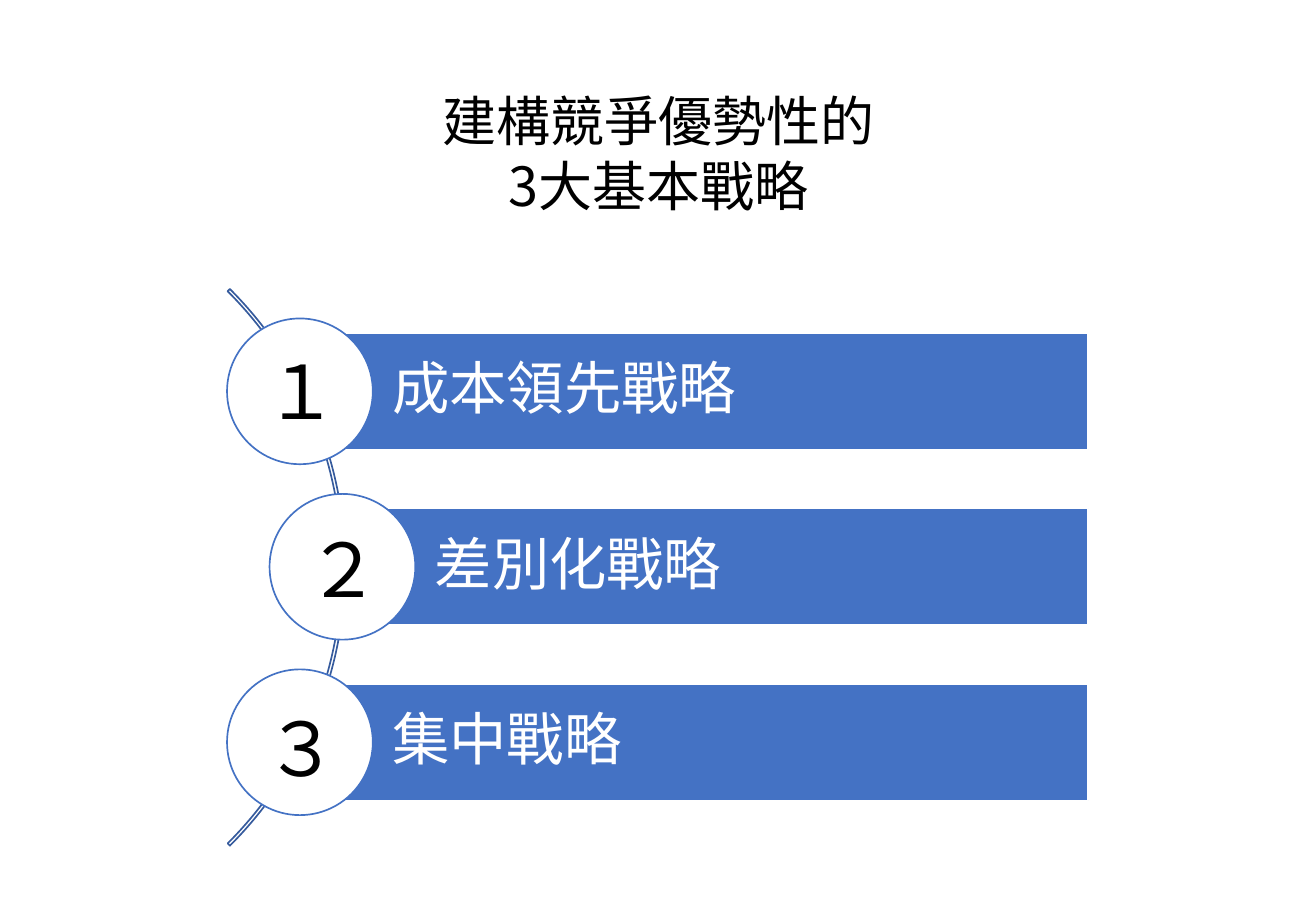
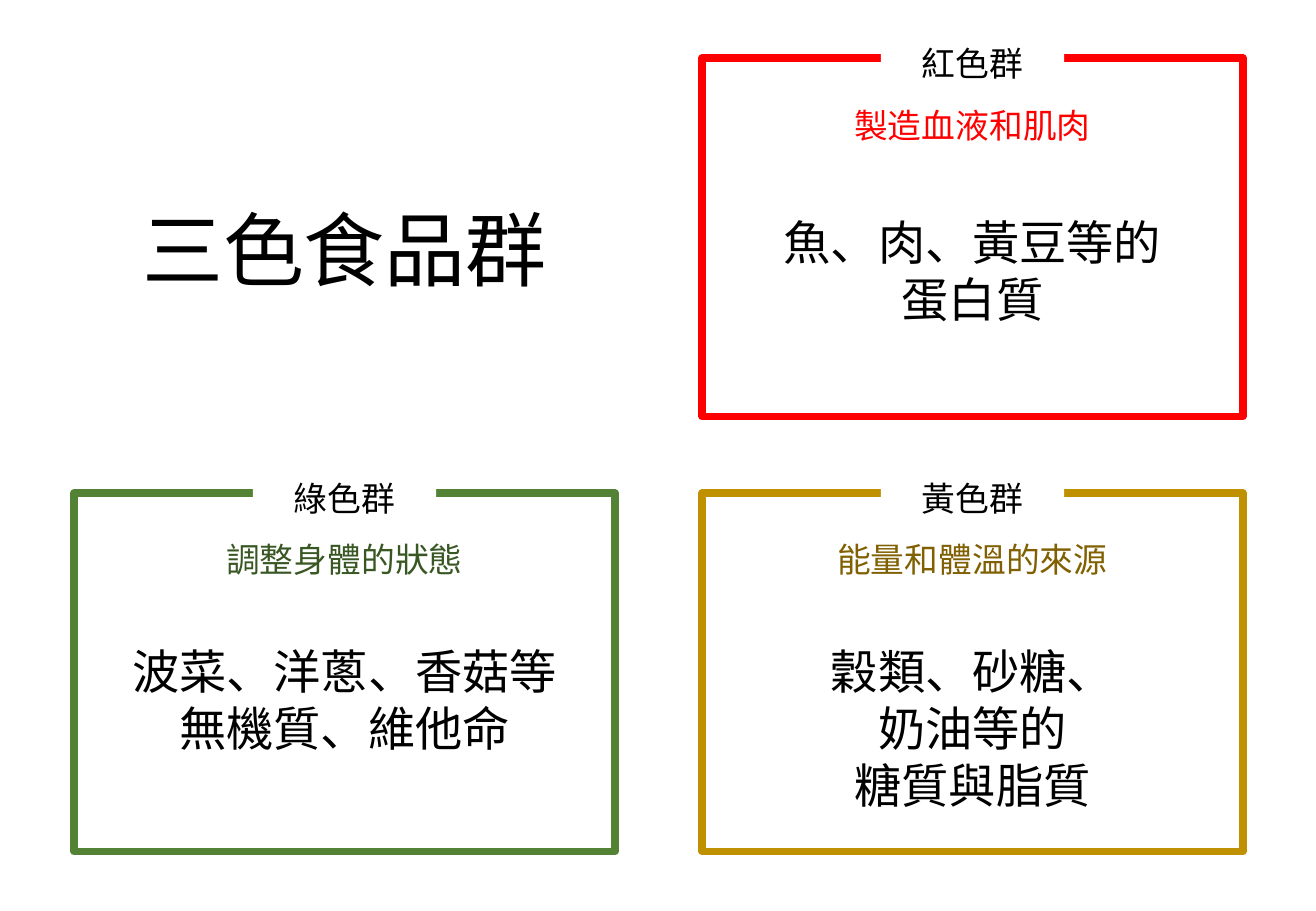
from lxml import etree
from pptx import Presentation
from pptx.dml.color import RGBColor
from pptx.enum import shapes, text
from pptx.oxml.ns import qn
from pptx.util import Pt

FONT = "Noto Sans CJK SC"
COLORS = {
    "ink": "000000", "paper": "FFFFFF", "bar": "4472C4", "arc": "365B9D",
    "red": "FF0000", "green": "548235", "green_text": "385723",
    "yellow": "BF9000", "yellow_text": "806000",
}
CARD_WIDTH, CARD_HEIGHT = 320.4, 212.4
LEFT_COLUMN, RIGHT_COLUMN = 44, 416.2
UPPER_ROW, LOWER_ROW = 34.5, 292.3


def color(name):
    """Return the named colour."""
    return RGBColor.from_string(COLORS[name])


def lengths(*values):
    """Turn numbers into lengths in points."""
    return [Pt(value) for value in values]


def write(shape, words, size, ink="ink", align=text.PP_ALIGN.CENTER, grow=True):
    """Fill a shape with text in the shared font."""
    frame = shape.text_frame
    frame.text = words
    frame.word_wrap = True
    if grow:
        frame.auto_size = text.MSO_AUTO_SIZE.SHAPE_TO_FIT_TEXT
        frame.vertical_anchor = text.MSO_ANCHOR.TOP
    for para in frame.paragraphs:
        para.alignment = align
        for span in para.runs:
            span.font.size = Pt(size)
            span.font.name = FONT
            span.font.color.rgb = color(ink)
            etree.SubElement(span.font._element, qn("a:ea"), typeface=FONT)


def add_title(page, words, size, box):
    """Place and format the title placeholder."""
    title = page.shapes.title
    title.left, title.top, title.width, title.height = lengths(*box)
    write(title, words, size)


def add_text(page, words, size, box, ink="ink"):
    """Add a centred text box."""
    write(page.shapes.add_textbox(*lengths(*box)), words, size, ink)


def add_figure(page, kind, box, fill=None, line=None, weight=1):
    """Add a flat preset shape."""
    figure = page.shapes.add_shape(kind, *lengths(*box))
    figure.shadow.inherit = False
    if fill:
        figure.fill.solid()
        figure.fill.fore_color.rgb = color(fill)
    else:
        figure.fill.background()
    if line:
        figure.line.color.rgb = color(line)
        figure.line.width = Pt(weight)
    else:
        figure.line.fill.background()
    return figure


def add_strategy(page, box, words):
    """Add a bar with a circle centred on its left edge."""
    left, top, width, height = box
    bar = add_figure(page, shapes.MSO_SHAPE.RECTANGLE, box, "bar", "paper")
    write(bar, words, 34, "paper", text.PP_ALIGN.LEFT, grow=False)
    bar.text_frame.margin_left = Pt(54.7)
    bar.text_frame.paragraphs[0].line_spacing = 0.9
    diameter = 86.4
    circle = (left - diameter / 2, top + (height - diameter) / 2, diameter, diameter)
    add_figure(page, shapes.MSO_SHAPE.OVAL, circle, "paper", "bar")


def build_strategies(page):
    """Build the list of numbered strategies along an arc."""
    add_title(page, "建構競爭優勢性的\n3大基本戰略", 32, (116, 48.2, 548.6, 85))
    arc = add_figure(page, shapes.MSO_SHAPE.BLOCK_ARC, (-262, 103, 466.6, 466.6), line="arc")
    for index, value in enumerate((189, 27, 0.004)):
        arc.adjustments[index] = value
    strategies = (("１", "成本領先戰略", 177.8), ("２", "差別化戰略", 203), ("３", "集中戰略", 177.8))
    right = 645.1
    for row, (digit, words, left) in enumerate(strategies):
        add_strategy(page, (left, 197.5 + 104 * row, right - left, 69), words)
        add_text(page, digit, 44, (left - 29.5, 200.9 + 105.8 * row, 60.5, 60.5))


def add_card(page, box, line, ink, label, role, foods, foods_top):
    """Add a framed food group with its label set into the top edge."""
    left, top, width, height = box
    add_figure(page, shapes.MSO_SHAPE.RECTANGLE, box, line=line, weight=4.5)

    def centered(inner_width, offset, inner_height):
        """Return a box centred across the card."""
        return left + (width - inner_width) / 2, top + offset, inner_width, inner_height

    tag = add_figure(page, shapes.MSO_SHAPE.RECTANGLE, centered(108.7, -12.5, 31.7), "paper")
    write(tag, label, 20)
    add_text(page, role, 20, centered(231.8, 23.8, 31.7), ink)
    add_text(page, foods, 28, centered(283, foods_top, 75))


def build_food_groups(page):
    """Build the title and the three food group cards."""
    add_title(page, "三色食品群", 48, (LEFT_COLUMN, 114.5, CARD_WIDTH, 65.5))
    cards = (
        (RIGHT_COLUMN, UPPER_ROW, "red", "red", "紅色群", "製造血液和肌肉",
         "魚、肉、黃豆等的\n蛋白質", 88.6),
        (LEFT_COLUMN, LOWER_ROW, "green", "green_text", "綠色群", "調整身體的狀態",
         "波菜、洋蔥、香菇等\n無機質、維他命", 85),
        (RIGHT_COLUMN, LOWER_ROW, "yellow", "yellow_text", "黃色群", "能量和體溫的來源",
         "穀類、砂糖、\n奶油等的\n糖質與脂質", 85),
    )
    for left, top, *content in cards:
        add_card(page, (left, top, CARD_WIDTH, CARD_HEIGHT), *content)


def main():
    """Build and save the deck."""
    deck = Presentation()
    deck.slide_width, deck.slide_height = lengths(780, 540)
    title_only = deck.slide_layouts[5]
    for build in (build_strategies, build_food_groups):
        build(deck.slides.add_slide(title_only))
    deck.save("out.pptx")


if __name__ == "__main__":
    main()
